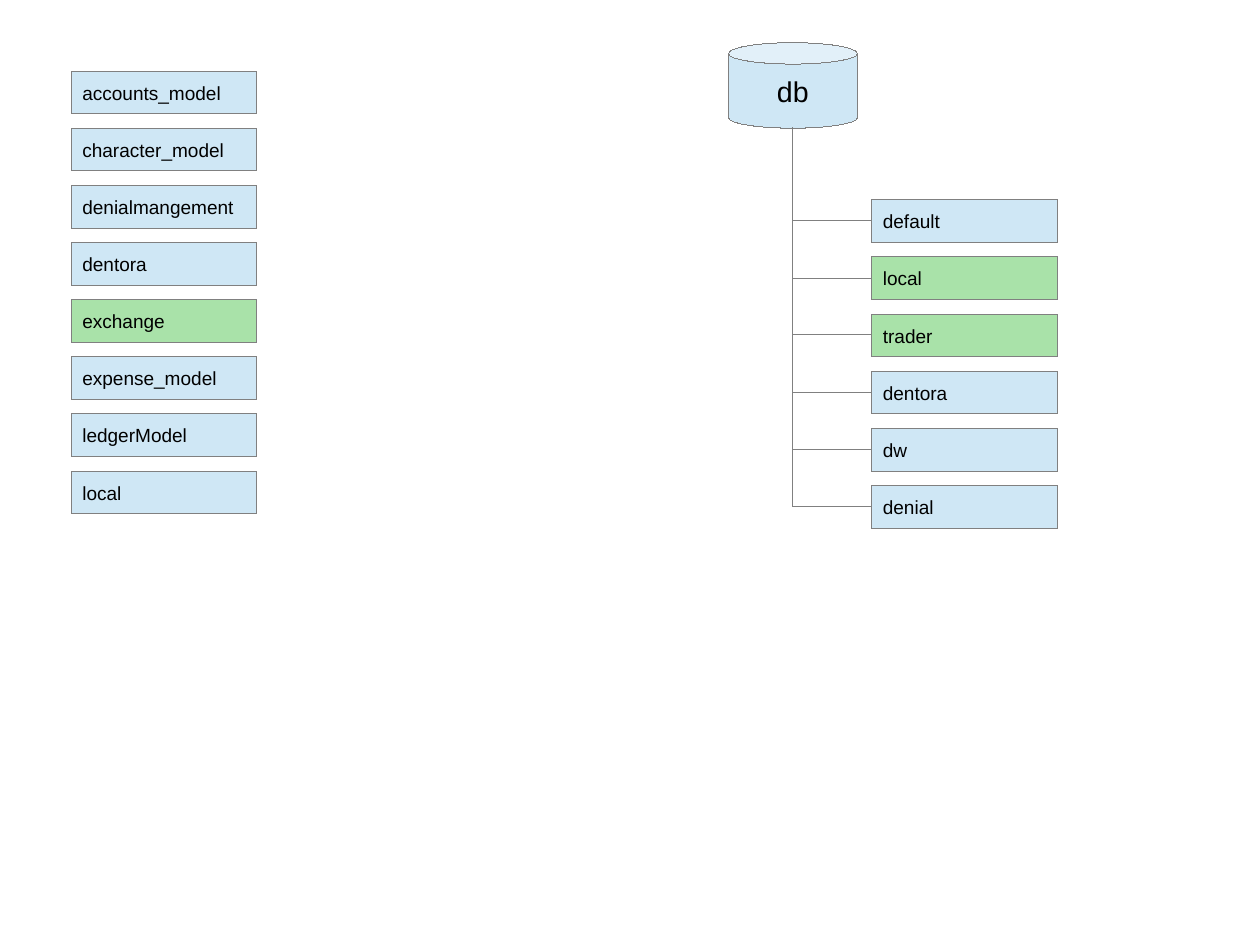
from dataclasses import dataclass

from lxml import etree
from pptx import Presentation
from pptx.dml.color import RGBColor
from pptx.enum.shapes import MSO_CONNECTOR as Connector, MSO_SHAPE as Preset
from pptx.enum.text import MSO_ANCHOR as Anchor, PP_ALIGN as Align
from pptx.oxml.ns import qn
from pptx.shapes.autoshape import Shape
from pptx.shapes.connector import Connector as Branch
from pptx.slide import Slide
from pptx.util import Emu, Pt

PX = 3600  # EMU per px, 100 px to the centimetre
SLIDE_WIDTH, SLIDE_HEIGHT = 2800, 2100

BLUE = RGBColor(0xCF, 0xE7, 0xF5)
GREEN = RGBColor(0xA9, 0xE2, 0xA9)
GRAY = RGBColor(0x80, 0x80, 0x80)
BLACK = RGBColor(0x00, 0x00, 0x00)

BOX_WIDTH, BOX_HEIGHT, BOX_STEP = 413, 95, 127
CAN_BOTTOM_SITE, BOX_LEFT_SITE = 3, 1


@dataclass(frozen=True)
class Node:
    label: str
    left: int
    top: int
    width: int = BOX_WIDTH
    height: int = BOX_HEIGHT
    fill: RGBColor = BLUE
    preset: Preset = Preset.RECTANGLE
    align: Align = Align.LEFT
    size: int = 12
    wrap: bool = True


def px(length: int) -> Emu:
    return Emu(length * PX)


def column(labels: list[str], left: int, top: int, green: set[str]) -> list[Node]:
    return [
        Node(label, left, top + row * BOX_STEP, fill=GREEN if label in green else BLUE)
        for row, label in enumerate(labels)
    ]


MODELS = column(
    ["accounts_model", "character_model", "denialmangement", "dentora",
     "exchange", "expense_model", "ledgerModel", "local"],
    left=158, top=158, green={"exchange"},
)
DATABASE = Node("db", 1619, 95, 286, 190, preset=Preset.CAN,
                align=Align.CENTER, size=18, wrap=False)
CONNECTIONS = column(
    ["default", "local", "trader", "dentora", "dw", "denial"],
    left=1937, top=444, green={"local", "trader"},
)


def draw_hairline(outlined: Shape | Branch) -> None:
    outlined.line.color.rgb = GRAY
    # An explicit zero width overrides the width of the theme
    outlined._element.spPr.find(qn("a:ln")).set("w", "0")


def draw_node(slide: Slide, node: Node) -> Shape:
    shape = slide.shapes.add_shape(
        node.preset, px(node.left), px(node.top), px(node.width), px(node.height))
    shape.shadow.inherit = False
    shape.fill.solid()
    shape.fill.fore_color.rgb = node.fill
    draw_hairline(shape)
    frame = shape.text_frame
    frame.word_wrap = node.wrap
    frame.vertical_anchor = Anchor.MIDDLE
    paragraph = frame.paragraphs[0]
    paragraph.text = node.label
    paragraph.alignment = node.align
    paragraph.font.name = "Arial"
    paragraph.font.size = Pt(node.size)
    paragraph.font.color.rgb = BLACK
    return shape


def draw_branch(slide: Slide, parent: Node, parent_shape: Shape,
                child: Node, child_shape: Shape) -> None:
    start_x, start_y = parent.left + parent.width // 2, parent.top + parent.height
    run = child.left - start_x
    drop = child.top + child.height // 2 - start_y
    branch = slide.shapes.add_connector(Connector.ELBOW, 0, 0, 0, 0)
    branch.begin_connect(parent_shape, CAN_BOTTOM_SITE)
    branch.end_connect(child_shape, BOX_LEFT_SITE)
    draw_hairline(branch)

    # A single bend, turned so that it leaves downwards and arrives from the left
    branch.left = px(start_x + (run - drop) // 2)
    branch.top = px(start_y + (drop - run) // 2)
    branch.width, branch.height = px(drop), px(run)
    properties = branch._element.spPr
    transform = properties.find(qn("a:xfrm"))
    transform.attrib.pop("flipV", None)
    transform.set("rot", "16200000")
    transform.set("flipH", "1")
    properties.find(qn("a:prstGeom")).set("prst", "bentConnector2")
    etree.SubElement(properties, qn("a:effectLst"))


def main() -> None:
    presentation = Presentation()
    presentation.slide_width = px(SLIDE_WIDTH)
    presentation.slide_height = px(SLIDE_HEIGHT)
    slide = presentation.slides.add_slide(presentation.slide_layouts[6])

    # Models
    for model in MODELS:
        draw_node(slide, model)

    # Database and its connections
    database_shape = draw_node(slide, DATABASE)
    connection_shapes = [draw_node(slide, connection) for connection in CONNECTIONS]
    for connection, connection_shape in zip(CONNECTIONS, connection_shapes):
        draw_branch(slide, DATABASE, database_shape, connection, connection_shape)

    presentation.save("out.pptx")


if __name__ == "__main__":
    main()
